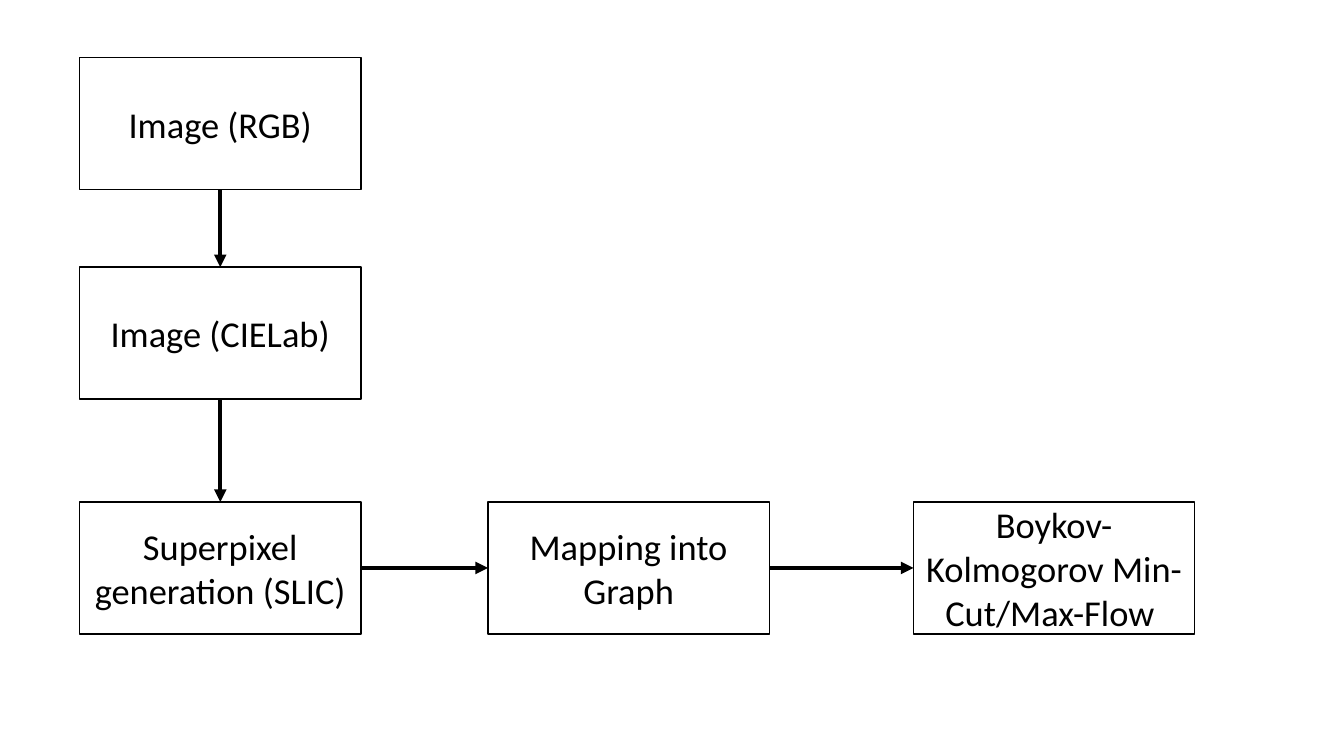
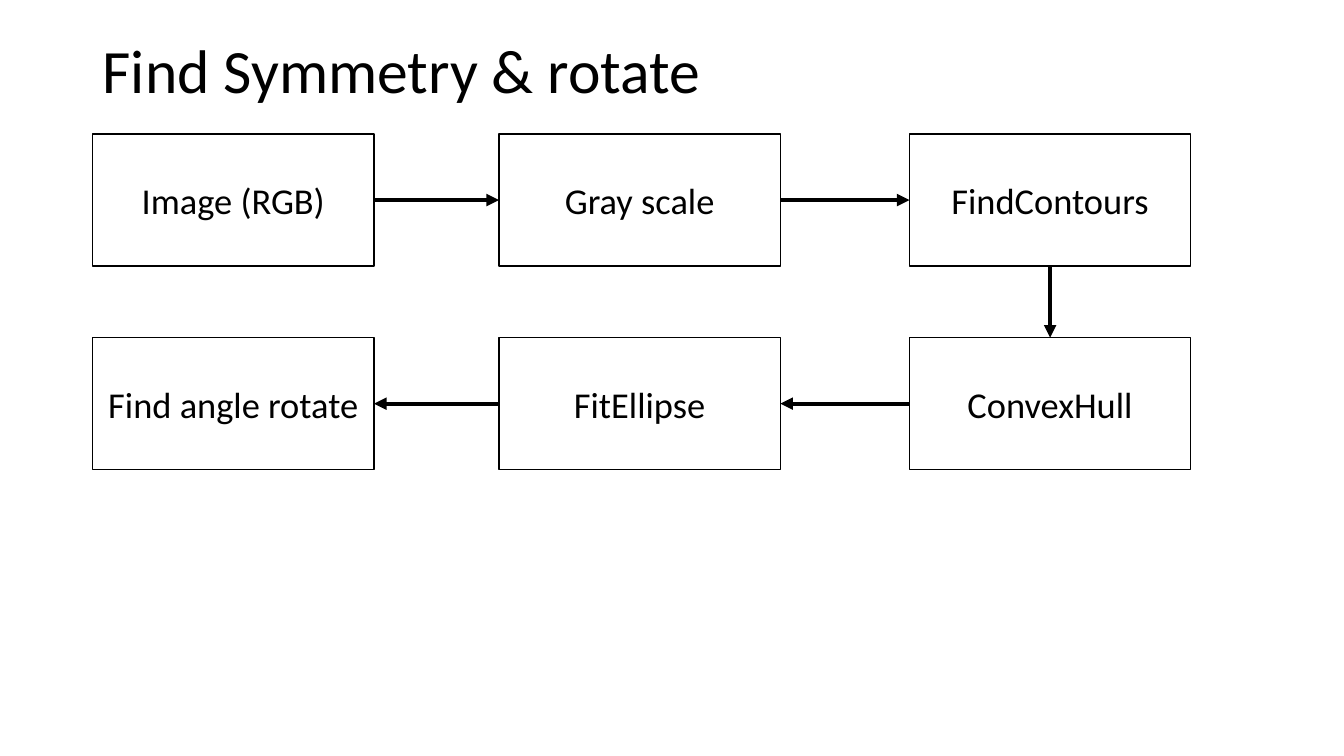
from lxml.etree import SubElement
from pptx import Presentation
from pptx.dml.color import RGBColor
from pptx.enum.shapes import MSO_CONNECTOR, MSO_SHAPE
from pptx.enum.text import MSO_ANCHOR, PP_ALIGN
from pptx.oxml.ns import qn
from pptx.util import Inches, Pt

BLACK = RGBColor(0x00, 0x00, 0x00)
WHITE = RGBColor(0xFF, 0xFF, 0xFF)
FONT = "Calibri"
STEP_WIDTH, STEP_HEIGHT = Inches(2.79), Inches(1.31)
TOP, LEFT, BOTTOM, RIGHT = range(4)  # connection sites of a rectangle


def write(frame, text, size, align):
    frame.word_wrap = True
    frame.vertical_anchor = MSO_ANCHOR.MIDDLE
    frame.text = text
    paragraph = frame.paragraphs[0]
    paragraph.alignment = align
    font = paragraph.runs[0].font
    font.name, font.size, font.color.rgb = FONT, Pt(size), BLACK
    return paragraph


def add_flow(slide, steps):
    """Draw the steps in order, with an arrow from each one to the next."""
    previous = None
    for text, left, top in steps:
        step = slide.shapes.add_shape(
            MSO_SHAPE.RECTANGLE, Inches(left), Inches(top), STEP_WIDTH, STEP_HEIGHT)
        step.shadow.inherit = False
        step.fill.solid()
        step.fill.fore_color.rgb = WHITE
        step.line.color.rgb = BLACK
        step.line.width = Pt(1)
        write(step.text_frame, text, 26, PP_ALIGN.CENTER)

        if previous is not None:
            if step.left == previous.left:
                start, end = BOTTOM, TOP
            elif step.left > previous.left:
                start, end = RIGHT, LEFT
            else:
                start, end = LEFT, RIGHT
            arrow = slide.shapes.add_connector(MSO_CONNECTOR.STRAIGHT, 0, 0, 0, 0)
            arrow.begin_connect(previous, start)
            arrow.end_connect(step, end)
            arrow.line.color.rgb = BLACK
            arrow.line.width = Pt(3)
            SubElement(arrow.line._get_or_add_ln(), qn("a:tailEnd"), type="triangle")
            SubElement(arrow._element.spPr, qn("a:effectLst"))
        previous = step


presentation = Presentation()
presentation.slide_width = Inches(13.33)
presentation.slide_height = Inches(7.5)
blank = presentation.slide_layouts[6]

# Segmentation pipeline
segmentation = presentation.slides.add_slide(blank)
add_flow(segmentation, [
    ("Image (RGB)", 0.79, 0.57),
    ("Image (CIELab)", 0.79, 2.65),
    ("Superpixel generation (SLIC)", 0.79, 4.98),
    ("Mapping into Graph", 4.84, 4.98),
    ("Boykov-Kolmogorov Min-Cut/Max-Flow ", 9.06, 4.98),
])

# Symmetry pipeline: right along the upper row, back along the lower one
symmetry = presentation.slides.add_slide(blank)
title = symmetry.shapes.add_textbox(Inches(0.92), 0, Inches(11.5), Inches(1.45))
write(title.text_frame, "Find Symmetry & rotate", 44, PP_ALIGN.LEFT).line_spacing = 0.9

columns = [0.92, 4.95, 9.02]
upper_row = zip(["Image (RGB)", "Gray scale", "FindContours"], columns)
lower_row = zip(["ConvexHull", "FitEllipse", "Find angle rotate"], reversed(columns))
add_flow(symmetry, [(text, left, 1.33) for text, left in upper_row]
         + [(text, left, 3.35) for text, left in lower_row])

presentation.save("out.pptx")
